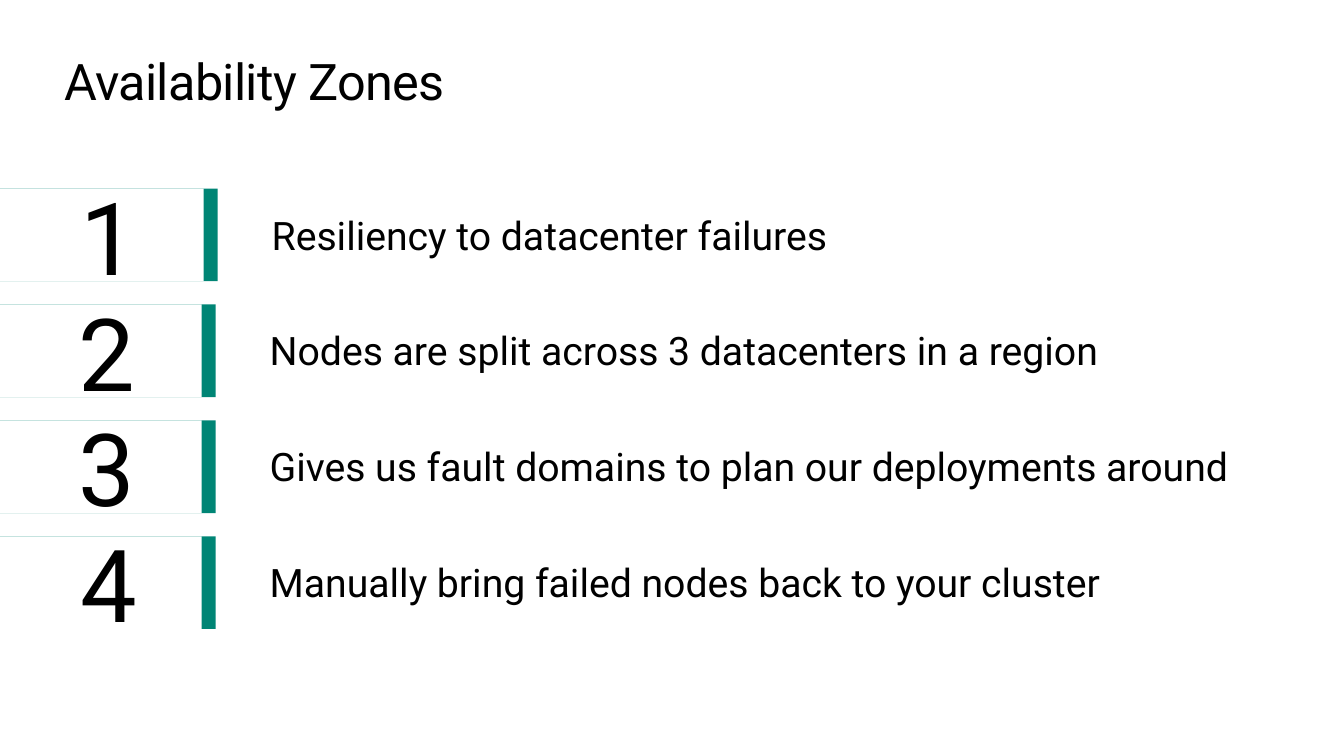
"""Build the Availability Zones slide with four numbered rows."""
import dataclasses

import pptx
import pptx.dml.color
import pptx.enum.shapes
import pptx.enum.text
import pptx.util

Pt = pptx.util.Pt
Align = pptx.enum.text.PP_ALIGN
Anchor = pptx.enum.text.MSO_ANCHOR


@dataclasses.dataclass(frozen=True)
class Theme:
    """Colours, font and type sizes of the slide."""
    accent: str = "008575"
    surface: str = "FFFFFF"
    ink: str = "000000"
    font: str = "Roboto"
    title_size: int = 36
    body_size: int = 28
    number_size: int = 72


THEME = Theme()
ROW_TOP, ROW_PITCH, ROW_HEIGHT = 134.64, 82.8, 66.24
ROWS = [
    ("Resiliency to datacenter failures", 0, 41.76),
    ("Nodes are split across 3 datacenters in a region", -1.44, 41.76),
    ("Gives us fault domains to plan our deployments around", -1.44, 41.76),
    ("Manually bring failed nodes back to your cluster", -1.44, 43.2),
]


def colour(value):
    """Return the RGB colour for a hex string."""
    return pptx.dml.color.RGBColor.from_string(value)


def add_bar(slide, left, top, width, height, fill):
    """Draw a plain filled rectangle."""
    rectangle = pptx.enum.shapes.MSO_SHAPE.RECTANGLE
    shape = slide.shapes.add_shape(rectangle, Pt(left), Pt(top), Pt(width), Pt(height))
    shape.shadow.inherit = False
    shape.fill.solid()
    shape.fill.fore_color.rgb = colour(fill)
    shape.line.fill.background()


def add_text(slide, box, text, size, anchor=Anchor.MIDDLE, align=Align.LEFT, inset=0):
    """Place one line of text in a box and return its run."""
    shape = slide.shapes.add_textbox(*map(Pt, box))
    frame = shape.text_frame
    frame.word_wrap = True
    frame.vertical_anchor = anchor
    frame.margin_left = Pt(inset)
    frame.margin_top = frame.margin_right = frame.margin_bottom = 0
    paragraph = frame.paragraphs[0]
    paragraph.alignment = align
    run = paragraph.add_run()
    run.text = text
    run.font.name = THEME.font
    run.font.size = Pt(size)
    run.font.color.rgb = colour(THEME.ink)
    return run


def add_title(slide, box, text):
    """Place the slide title with slightly tightened letters."""
    run = add_text(slide, box, text, THEME.title_size, Anchor.TOP)
    run.font._element.set("spc", "-50")


def add_row(slide, left, top, height, number, number_left, text):
    """Draw a numbered tab with a green edge and its statement."""
    add_bar(slide, left, top, 155.52, height, THEME.accent)
    add_bar(slide, left, top, 145.44, height, THEME.surface)
    add_text(slide, (left + 172.5, top + 15.84, 741.6, 33.84), text,
             THEME.body_size, inset=21.6)
    add_text(slide, (left + number_left, top - 2.88, 72, 72), str(number),
             THEME.number_size, align=Align.CENTER)


def main():
    """Build and save the presentation."""
    presentation = pptx.Presentation()
    presentation.slide_width = Pt(960)
    presentation.slide_height = Pt(540)
    slide = presentation.slides.add_slide(presentation.slide_layouts[6])
    add_title(slide, (46.08, 36, 867.6, 43.92), "Availability Zones")
    for index, (text, left, number_left) in enumerate(ROWS):
        add_row(slide, left, ROW_TOP + index * ROW_PITCH, ROW_HEIGHT,
                index + 1, number_left, text)
    presentation.save("out.pptx")


if __name__ == "__main__":
    main()
